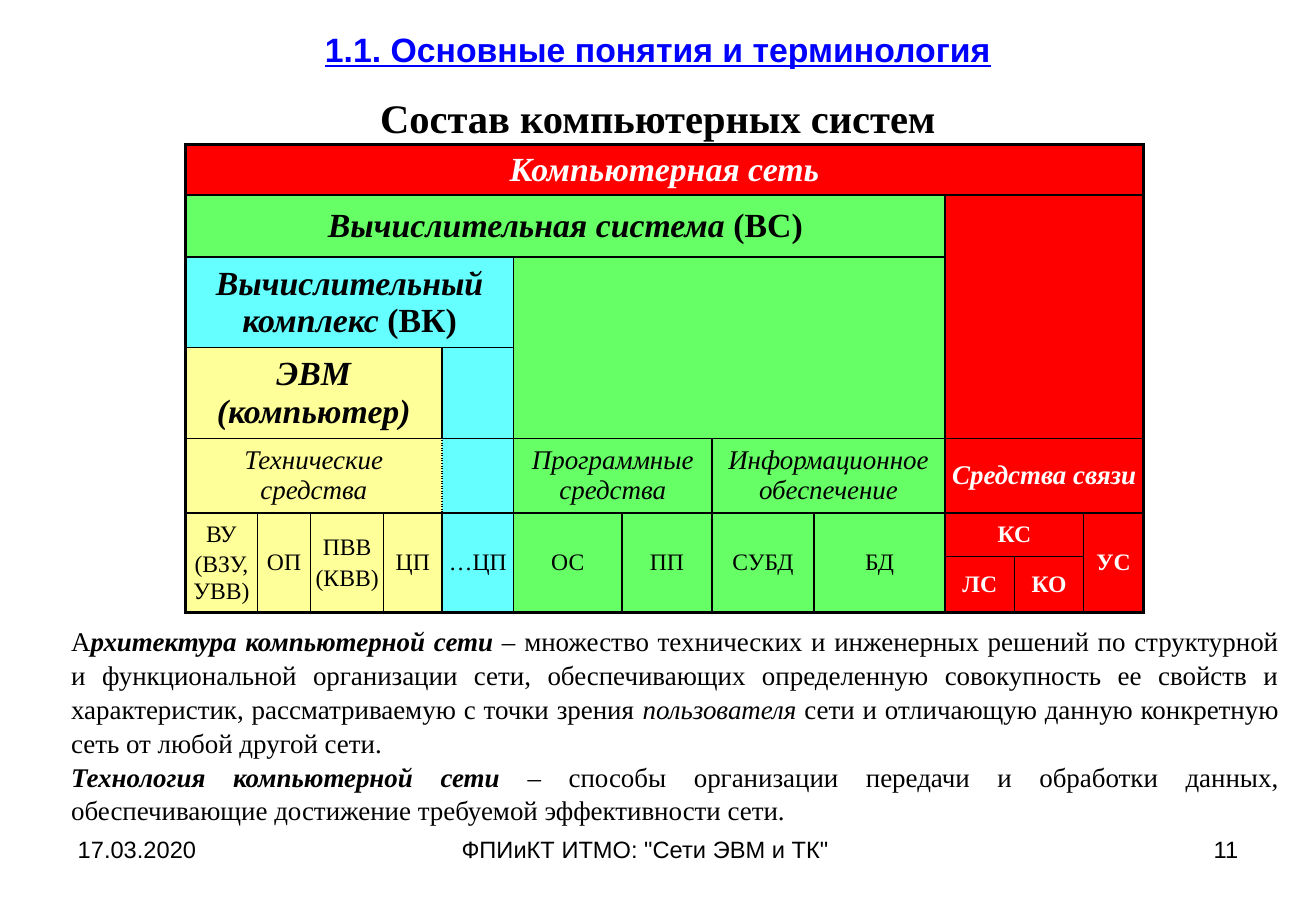
from itertools import product
from lxml.etree import SubElement
from pptx import Presentation
from pptx.dml.color import RGBColor
from pptx.enum.text import MSO_ANCHOR, PP_ALIGN
from pptx.oxml.ns import qn
from pptx.util import Inches, Pt

WIDTH, HEIGHT = Inches(10.83), Inches(7.5)
COLORS = {
    "black": "000000", "white": "FFFFFF", "blue": "0000FF",
    "network": "FF0000", "system": "66FF66",
    "complex": "66FFFF", "computer": "FFFF99",
}
SERIF = {"name": "Times New Roman", "color": "black"}
HEADING = {"name": "Arial", "color": "blue", "size": 20, "bold": True, "underline": True}
SUBHEADING = SERIF | {"size": 24, "bold": True}
FOOTER = {"name": "Arial", "color": "black", "size": 14}
BODY = SERIF | {"size": 16}
ITALIC = BODY | {"italic": True}
TERM = ITALIC | {"bold": True}
LEVEL = TERM | {"size": 20}
LEVEL_SHORT = LEVEL | {"italic": False}
UNIT = SERIF | {"size": 14}
WHITE_BOLD = {"color": "white", "bold": True}

COLUMNS = [0.59, 0.44, 0.6, 0.48, 0.59, 0.89, 0.74, 0.84, 1.08, 0.57, 0.57, 0.49]
ROWS = [0.39, 0.51, 0.69, 0.69, 0.61, 0.36, 0.44]
FIRST_DETAIL_ROW = 4
DOTTED_COLUMNS = {3, 4}

UNITS = [
    ("computer", ["ВУ", "(ВЗУ,УВВ)"]), ("computer", ["ОП"]),
    ("computer", ["ПВВ", "(КВВ)"]), ("computer", ["ЦП"]),
    ("complex", ["…ЦП"]), ("system", ["ОС"]), ("system", ["ПП"]),
    ("system", ["СУБД"]), ("system", ["БД"]),
]
REGIONS = [
    (0, 0, 1, 12, "network", [[("Компьютерная сеть", LEVEL | WHITE_BOLD)]]),
    (1, 0, 1, 9, "system", [[("Вычислительная система ", LEVEL), ("(ВС)", LEVEL_SHORT)]]),
    (1, 9, 1, 3, "network", []),
    (2, 0, 1, 5, "complex", [[("Вычислительный комплекс ", LEVEL), ("(ВК)", LEVEL_SHORT)]]),
    (2, 5, 2, 4, "system", []),
    (2, 9, 2, 3, "network", []),
    (3, 0, 1, 4, "computer", [[("ЭВМ (компьютер)", LEVEL)]]),
    (3, 4, 1, 1, "complex", []),
    (4, 0, 1, 4, "computer", [[("Технические средства", ITALIC)]]),
    (4, 4, 1, 1, "complex", []),
    (4, 5, 1, 2, "system", [[("Программные средства", ITALIC)]]),
    (4, 7, 1, 2, "system", [[("Информационное обеспечение", ITALIC)]]),
    (4, 9, 1, 3, "network", [[("Средства связи", ITALIC | WHITE_BOLD)]]),
    *[(5, column, 2, 1, fill, [[(line, UNIT)] for line in lines])
      for column, (fill, lines) in enumerate(UNITS)],
    *[(row, column, rows, columns, "network", [[(label, UNIT | WHITE_BOLD)]])
      for row, column, rows, columns, label in [
          (5, 9, 1, 2, "КС"), (5, 11, 2, 1, "УС"), (6, 9, 1, 1, "ЛС"), (6, 10, 1, 1, "КО")]],
]
DEFINITIONS = [
    [("А", BODY), ("рхитектура компьютерной сети", TERM),
     (" – множество технических и инженерных решений по структурной и функциональной "
      "организации сети, обеспечивающих определенную совокупность ее свойств и характеристик, "
      "рассматриваемую с точки зрения ", BODY),
     ("пользователя", ITALIC),
     (" сети и отличающую данную конкретную сеть от любой другой сети.", BODY)],
    [("Технология компьютерной сети ", TERM),
     ("– способы организации передачи и обработки данных, обеспечивающие достижение "
      "требуемой эффективности сети.", BODY)],
]


def rgb(name):
    return RGBColor.from_string(COLORS[name])


def write(frame, paragraphs, align, spacing=None, gap=0):
    for index, spans in enumerate(paragraphs):
        para = frame.add_paragraph() if index else frame.paragraphs[0]
        para.alignment = align
        para.line_spacing = spacing
        para.space_before = Pt(gap if index else 0)
        for text, style in spans:
            if text == "\n":
                para.add_line_break()
                continue
            span = para.add_run()
            span.text = text
            for key, value in style.items():
                if key == "color":
                    span.font.color.rgb = rgb(value)
                else:
                    setattr(span.font, key, Pt(value) if key == "size" else value)


def place_text(page, box, paragraphs, align, anchor=MSO_ANCHOR.TOP, spacing=None):
    left, top, width, height = box
    shape = page.shapes.add_textbox(
        int(left * WIDTH), int(top * HEIGHT), int(width * WIDTH), int(height * HEIGHT))
    shape.text_frame.word_wrap = True
    shape.text_frame.vertical_anchor = anchor
    write(shape.text_frame, paragraphs, align, spacing)


def draw_border(cell, side, width, dash):
    line = SubElement(cell._tc.get_or_add_tcPr(), qn(f"a:ln{side}"), w=str(Pt(width)))
    if not width:
        SubElement(line, qn("a:noFill"))
        return
    fill = SubElement(line, qn("a:solidFill"))
    SubElement(fill, qn("a:srgbClr"), val=COLORS["black"])
    SubElement(line, qn("a:prstDash"), val=dash)


def border_style(region, neighbour, row):
    if neighbour is None:
        return 2.25, "solid"
    if max(row, neighbour[0]) < FIRST_DETAIL_ROW and region[4] == neighbour[4]:
        return 0, "solid"
    dotted = row == FIRST_DETAIL_ROW == neighbour[0] and {
        region[1] + region[3] - 1, neighbour[1]} == DOTTED_COLUMNS
    dotted = dotted or (row == FIRST_DETAIL_ROW == neighbour[0] and {
        neighbour[1] + neighbour[3] - 1, region[1]} == DOTTED_COLUMNS)
    return 1, "sysDot" if dotted else "solid"


def outline_region(table, region, owners):
    top, left, rows, columns, fill, _ = region
    for row, column in product(range(top, top + rows), range(left, left + columns)):
        cell = table.cell(row, column)
        beyond = {
            "L": (row, left - 1, column == left),
            "R": (row, left + columns, column == left + columns - 1),
            "T": (top - 1, column, row == top),
            "B": (top + rows, column, row == top + rows - 1),
        }
        for side, (next_row, next_column, at_edge) in beyond.items():
            if at_edge or (row, column) == (top, left):
                neighbour = owners.get((next_row, next_column))
                draw_border(cell, side, *border_style(region, neighbour, row))
        cell.fill.solid()
        cell.fill.fore_color.rgb = rgb(fill)


def place_composition(page, box):
    left, top, width, height = box
    table = page.shapes.add_table(
        len(ROWS), len(COLUMNS), int(left * WIDTH), int(top * HEIGHT),
        int(width * WIDTH), int(height * HEIGHT)).table
    table.first_row = table.horz_banding = False
    for column, share in zip(table.columns, COLUMNS):
        column.width = int(width * WIDTH * share / sum(COLUMNS))
    for row, share in zip(table.rows, ROWS):
        row.height = int(height * HEIGHT * share / sum(ROWS))
    owners = {
        (row, column): region for region in REGIONS
        for row in range(region[0], region[0] + region[2])
        for column in range(region[1], region[1] + region[3])}
    for region in REGIONS:
        first_row, first_column, rows, columns, _, paragraphs = region
        outline_region(table, region, owners)
        cell = table.cell(first_row, first_column)
        if rows * columns > 1:
            cell.merge(table.cell(first_row + rows - 1, first_column + columns - 1))
        cell.vertical_anchor = MSO_ANCHOR.MIDDLE
        for side in ("left", "top", "right", "bottom"):
            setattr(cell, f"margin_{side}", Inches(0.04))
        write(cell.text_frame, paragraphs, PP_ALIGN.CENTER, gap=2.8)


def place_footer(page, box):
    left, top, width, height = box
    for start, share, text, align in [
            (0, 0.26, "17.03.2020", PP_ALIGN.LEFT),
            (0.324, 0.352, 'ФПИиКТ ИТМО: "Сети ЭВМ и ТК"', PP_ALIGN.LEFT),
            (0.74, 0.26, "11", PP_ALIGN.RIGHT)]:
        place_text(page, (left + start * width, top, share * width, height),
                   [[(text, FOOTER)]], align)


def main():
    deck = Presentation()
    deck.slide_width, deck.slide_height = WIDTH, HEIGHT
    page = deck.slides.add_slide(deck.slide_layouts[6])
    title = [("1.1. Основные понятия и терминология", HEADING), ("\n", {}),
             ("Состав компьютерных систем", SUBHEADING)]
    place_footer(page, (0.05, 0.91, 0.9, 0.07))
    place_text(page, (0.05, 0, 0.9, 0.165), [title], PP_ALIGN.CENTER, MSO_ANCHOR.MIDDLE, 1.5)
    place_composition(page, (0.141, 0.159, 0.728, 0.492))
    place_text(page, (0.045, 0.677, 0.936, 0.227), DEFINITIONS, PP_ALIGN.JUSTIFY, spacing=1.05)
    deck.save("out.pptx")


if __name__ == "__main__":
    main()
